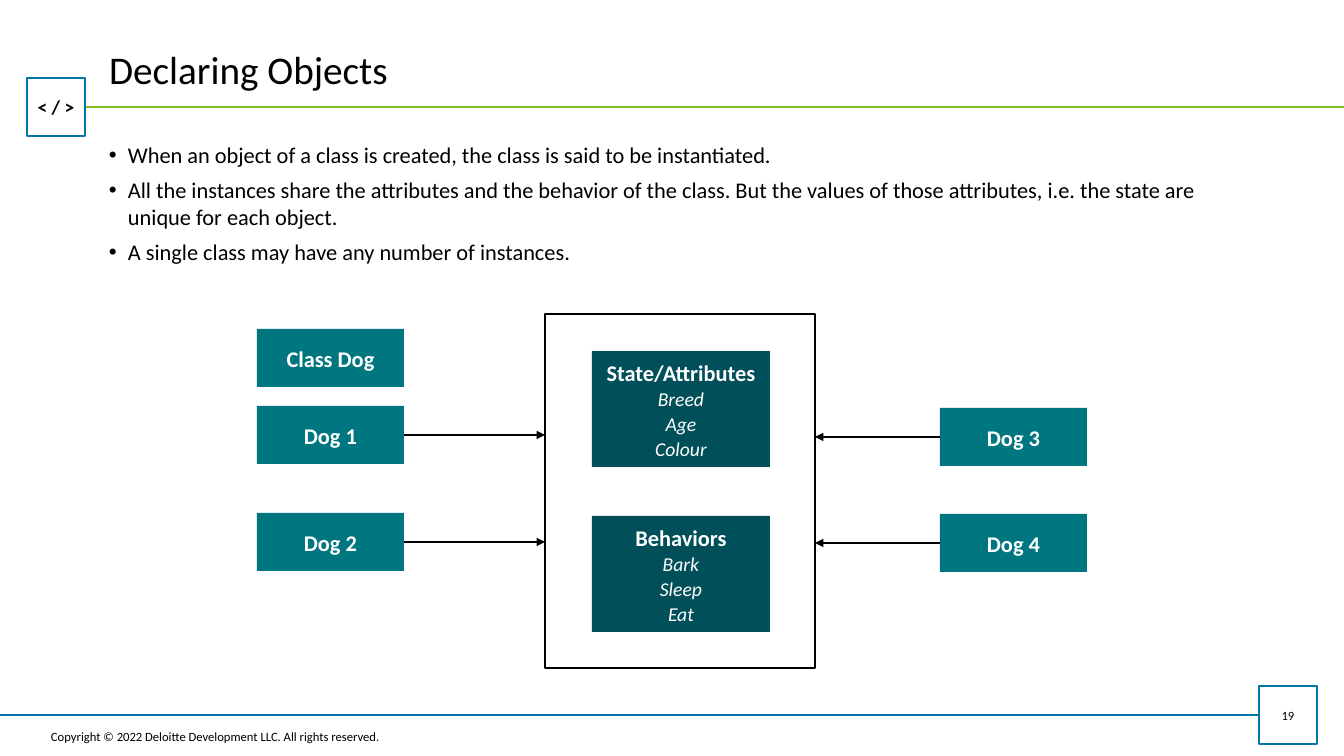
from dataclasses import dataclass

from lxml.etree import SubElement
from pptx import Presentation
from pptx.dml.color import RGBColor
from pptx.enum.shapes import MSO_CONNECTOR, MSO_SHAPE
from pptx.enum.text import MSO_ANCHOR as Anchor, MSO_AUTO_SIZE as AutoSize, PP_ALIGN as Align
from pptx.oxml.ns import qn
from pptx.util import Pt

EMU_PER_PX = 914400 / 100.8


def px(length):
    return round(length * EMU_PER_PX)


@dataclass(frozen=True)
class Theme:
    font: str = "Calibri"
    black: str = "000000"
    white: str = "FFFFFF"
    green: str = "86BC25"
    blue: str = "0076A8"
    teal: str = "007680"
    dark_teal: str = "004F59"
    title_size: int = 28
    body_size: int = 16
    detail_size: int = 14
    small_size: int = 9
    thin: float = 1
    thick: float = 1.25


class SlideBuilder:
    def __init__(self, slide, theme):
        self.slide = slide
        self.theme = theme

    def style(self, paragraph, size, color, bold=False, italic=False):
        font = paragraph.font
        font.name, font.size = self.theme.font, Pt(size)
        font.bold, font.italic = bold, italic
        font.color.rgb = RGBColor.from_string(color)

    def title(self, text, *place):
        heading = self.slide.shapes.title
        heading.left, heading.top, heading.width, heading.height = map(px, place)
        frame = heading.text_frame
        frame.text = text
        frame.auto_size = AutoSize.NONE
        frame.vertical_anchor = Anchor.MIDDLE
        frame.paragraphs[0].alignment = Align.LEFT
        self.style(frame.paragraphs[0], self.theme.title_size, self.theme.black)

    def text_box(self, text, *place):
        frame = self.slide.shapes.add_textbox(*map(px, place)).text_frame
        frame.word_wrap = True
        frame.text = text
        return frame

    def bullets(self, points, *place):
        frame = self.text_box("\n".join(points), *place)
        for index, point in enumerate(frame.paragraphs):
            properties = point._p.get_or_add_pPr()
            properties.set("marL", str(px(19)))
            properties.set("indent", str(px(-19)))
            if index:
                point.space_before = Pt(6)
            SubElement(properties, qn("a:buFont")).set("typeface", "Arial")
            SubElement(properties, qn("a:buChar")).set("char", "•")
            self.style(point, self.theme.body_size, self.theme.black)

    def footer(self, text, *place):
        frame = self.text_box(text, *place)
        frame.margin_left = frame.margin_right = 0
        frame.margin_top = frame.margin_bottom = 0
        frame.vertical_anchor = Anchor.MIDDLE
        self.style(frame.paragraphs[0], self.theme.small_size, self.theme.black)

    def rectangle(self, *place, fill=None, line=None, width=1):
        shape = self.slide.shapes.add_shape(MSO_SHAPE.RECTANGLE, *map(px, place))
        shape.shadow.inherit = False
        if fill:
            shape.fill.solid()
            shape.fill.fore_color.rgb = RGBColor.from_string(fill)
        else:
            shape.fill.background()
        if line:
            shape.line.color.rgb = RGBColor.from_string(line)
            shape.line.width = Pt(width)
        else:
            shape.line.fill.background()
        return shape

    def badge(self, text, left, top, size, bold=False):
        """Outlined square with a short label that sits on a rule."""
        square = self.rectangle(left, top, 58, 58, fill=self.theme.white,
                                line=self.theme.blue, width=self.theme.thin)
        frame = square.text_frame
        frame.word_wrap = False
        frame.vertical_anchor = Anchor.MIDDLE
        frame.text = text
        frame.paragraphs[0].alignment = Align.CENTER
        self.style(frame.paragraphs[0], size, self.theme.black, bold)

    def card(self, heading, *place, fill, details=()):
        """Filled box with a bold heading and italic detail lines."""
        shape = self.rectangle(*place, fill=fill)
        frame = shape.text_frame
        frame.margin_left = frame.margin_right = px(10)
        frame.margin_top = frame.margin_bottom = px(10)
        frame.vertical_anchor = Anchor.MIDDLE
        frame.text = "\n".join([heading, *details])
        theme = self.theme
        for index, paragraph in enumerate(frame.paragraphs):
            paragraph.alignment = Align.CENTER
            paragraph.line_spacing = 1.06
            size = theme.detail_size if index else theme.body_size
            self.style(paragraph, size, theme.white, bold=index == 0, italic=index > 0)
        return shape

    def rule(self, start, end, y, color, width):
        line = self.slide.shapes.add_connector(
            MSO_CONNECTOR.STRAIGHT, px(start), px(y), px(end), px(y))
        line.line.color.rgb = RGBColor.from_string(color)
        line.line.width = Pt(width)
        SubElement(line._element.spPr, qn("a:effectLst"))
        return line

    def arrow(self, source, side, start, end, y):
        """Horizontal arrow that leaves the given side of the source box."""
        line = self.rule(start, end, y, self.theme.black, self.theme.thick)
        SubElement(line.line._get_or_add_ln(), qn("a:tailEnd")).set("type", "triangle")
        line.begin_connect(source, side)


def main():
    deck = Presentation()
    deck.slide_width, deck.slide_height = px(1344), px(756)
    theme = Theme()
    page = SlideBuilder(deck.slides.add_slide(deck.slide_layouts[5]), theme)

    page.rule(76, 1344, 107, theme.green, theme.thin)
    page.badge("< / >", 27, 78, theme.detail_size, bold=True)
    page.rule(0, 1259, 715, theme.blue, theme.thin)
    page.badge("19", 1259, 686, theme.small_size)
    page.footer("Copyright © 2022 Deloitte Development LLC. All rights reserved.",
                51, 731, 391, 11)
    page.title("Declaring Objects", 99, 30, 1137, 77)
    page.bullets([
        "When an object of a class is created, the class is said to be instantiated.",
        "All the instances share the attributes and the behavior of the class. "
        "But the values of those attributes, i.e. the state are unique for each object.",
        "A single class may have any number of instances.",
    ], 99, 136, 1146, 136)

    box_width, box_height = 147, 58
    left_column, right_column = 257, 940
    class_left, class_width = 545, 270
    page.rectangle(class_left, 314, class_width, 354, line=theme.black, width=theme.thick)
    for heading, top, details in [
        ("State/Attributes", 351, ["Breed", "Age", "Colour"]),
        ("Behaviors", 516, ["Bark", "Sleep", "Eat"]),
    ]:
        page.card(heading, 592, top, 178, 116, fill=theme.dark_teal, details=details)

    page.card("Class Dog", left_column, 329, box_width, box_height, fill=theme.teal)
    for name, left, top in [
        ("Dog 1", left_column, 406), ("Dog 2", left_column, 513),
        ("Dog 3", right_column, 408), ("Dog 4", right_column, 514),
    ]:
        dog = page.card(name, left, top, box_width, box_height, fill=theme.teal)
        middle = top + box_height // 2
        if left == left_column:
            page.arrow(dog, 3, left + box_width, class_left, middle)
        else:
            page.arrow(dog, 1, left, class_left + class_width, middle)

    deck.save("out.pptx")


if __name__ == "__main__":
    main()
